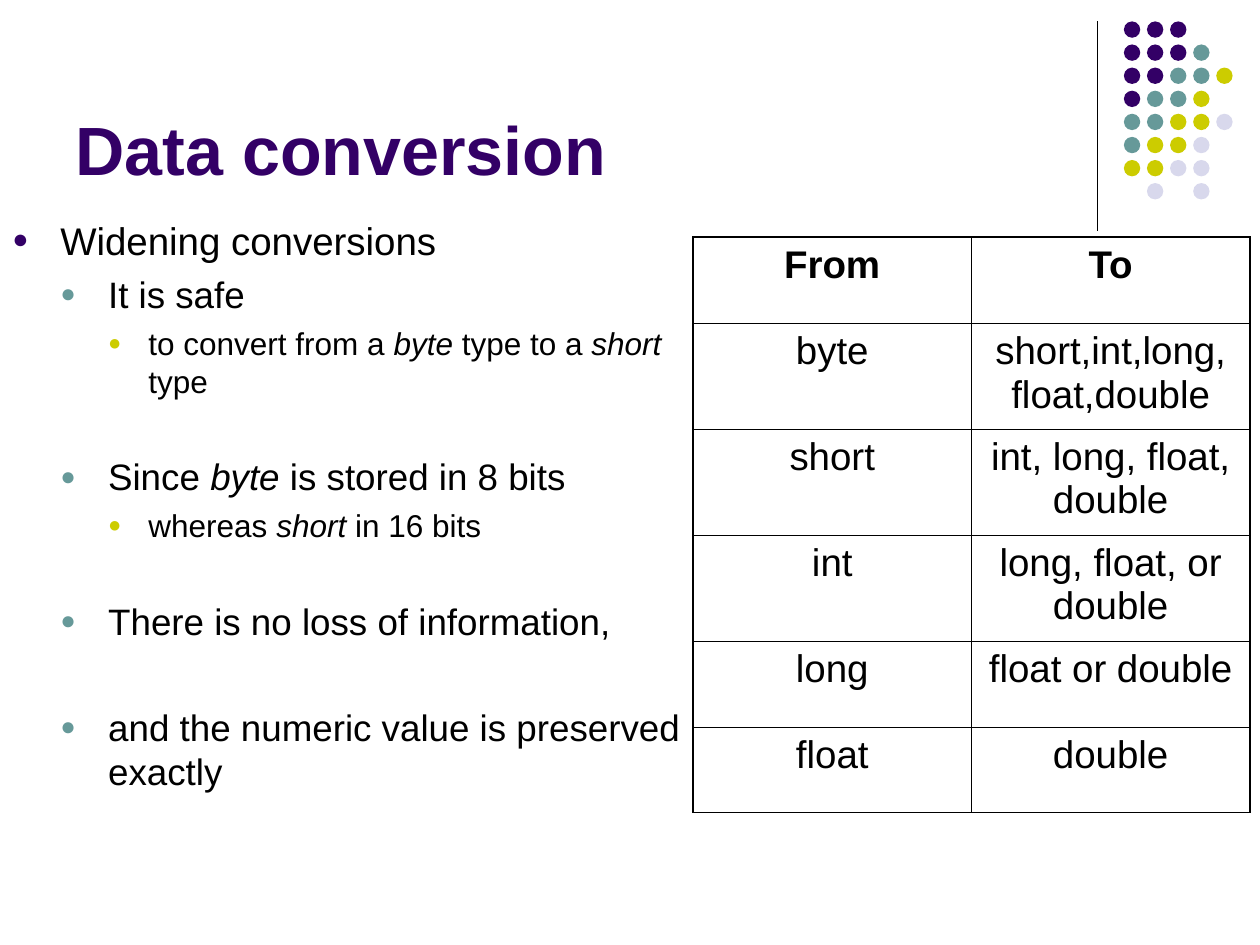
from typing import NamedTuple

from lxml import etree
from pptx import Presentation
from pptx.dml.color import RGBColor
from pptx.enum.shapes import MSO_CONNECTOR, MSO_SHAPE
from pptx.enum.text import MSO_ANCHOR, PP_ALIGN
from pptx.oxml.ns import qn
from pptx.util import Inches, Pt

STRAIGHT = MSO_CONNECTOR.STRAIGHT
OVAL = MSO_SHAPE.OVAL
BOTTOM = MSO_ANCHOR.BOTTOM
TOP = MSO_ANCHOR.TOP
CENTER = PP_ALIGN.CENTER
LEFT = PP_ALIGN.LEFT

COLORS = {
    "purple": "330066",
    "teal": "669999",
    "olive": "CCCC00",
    "lavender": "D8D8EC",
    "black": "000000",
}
FONT = "Arial"
THIN, THICK = 0.45, 1.08


class Level(NamedTuple):
    size: float
    margin: float
    hanging: float
    space_before: float
    bullet_color: str


class Item(NamedTuple):
    level: int
    text: str
    gap: float = 0


LEVELS = [
    Level(22, 0.38, 0.38, 0, "purple"),
    Level(21, 0.76, 0.38, 5.2, "teal"),
    Level(18, 1.08, 0.32, 4.5, "olive"),
]
ITEMS = [
    Item(0, "Widening conversions"),
    Item(1, "It is safe"),
    Item(2, "to convert from a *byte* type to a *short* type"),
    Item(1, "Since *byte *is stored in 8 bits", gap=26),
    Item(2, "whereas *short* in 16 bits"),
    Item(1, "There is no loss of information,", gap=26),
    Item(1, "and the numeric value is preserved exactly", gap=30.5),
]
CONVERSIONS = [
    ("From", "To"),
    ("byte", "short,int,long, float,double"),
    ("short", "int, long, float, double"),
    ("int", "long, float, or double"),
    ("long", "float or double"),
    ("float", "double"),
]
ROW_HEIGHTS = [0.69, 0.84, 0.84, 0.84, 0.68, 0.68]
DOT_ROWS = ["PPP", "PPPT", "PPTTO", "PTTO", "TTOOL", "TOOL", "OOLL", " L L"]
DOT_COLORS = {"P": "purple", "T": "teal", "O": "olive", "L": "lavender"}


def rgb(name: str) -> RGBColor:
    return RGBColor.from_string(COLORS[name])


def write_text(paragraph, text: str, *, size: float, color: str = "black",
               bold: bool = False, align=LEFT) -> None:
    paragraph.alignment = align
    for index, part in enumerate(text.split("*")):
        if part:
            run = paragraph.add_run()
            run.text = part
            run.font.name = FONT
            run.font.size = Pt(size)
            run.font.bold = bold
            run.font.italic = index % 2 == 1
            run.font.color.rgb = rgb(color)


def add_text_frame(slide, left: float, top: float, width: float, height: float, anchor):
    box = slide.shapes.add_textbox(Inches(left), Inches(top), Inches(width), Inches(height))
    frame = box.text_frame
    frame.word_wrap = True
    frame.vertical_anchor = anchor
    return frame


def add_bullet(paragraph, level: Level) -> None:
    properties = paragraph._p.get_or_add_pPr()
    properties.set("marL", str(Inches(level.margin)))
    properties.set("indent", str(-Inches(level.hanging)))
    bullet_color = etree.SubElement(properties, qn("a:buClr"))
    etree.SubElement(bullet_color, qn("a:srgbClr"), val=COLORS[level.bullet_color])
    etree.SubElement(properties, qn("a:buSzPct"), val="70000")
    etree.SubElement(properties, qn("a:buFont"), typeface=FONT)
    etree.SubElement(properties, qn("a:buChar"), char="●")


def add_list(slide, items: list[Item]) -> None:
    frame = add_text_frame(slide, 0, 1.67, 5.58, 5.42, TOP)
    for index, item in enumerate(items):
        paragraph = frame.add_paragraph() if index else frame.paragraphs[0]
        level = LEVELS[item.level]
        add_bullet(paragraph, level)
        if index:
            paragraph.level = item.level
            paragraph.space_before = Pt(level.space_before + item.gap)
        write_text(paragraph, item.text, size=level.size)


def add_divider(slide) -> None:
    line = slide.shapes.add_connector(
        STRAIGHT, Inches(8.71), Inches(0.17), Inches(8.71), Inches(1.83))
    line.line.color.rgb = rgb("black")
    line.line.width = Pt(0.75)
    etree.SubElement(line._element.spPr, qn("a:effectLst"))


def add_dots(slide) -> None:
    pitch, diameter = Inches(1.65 / 9), Inches(0.13)
    for row, pattern in enumerate(DOT_ROWS):
        for column, key in enumerate(pattern):
            if key in DOT_COLORS:
                dot = slide.shapes.add_shape(
                    OVAL, Inches(8.92) + column * pitch, Inches(0.17) + row * pitch,
                    diameter, diameter)
                dot.shadow.inherit = False
                dot.fill.solid()
                dot.fill.fore_color.rgb = rgb(DOT_COLORS[key])
                dot.line.fill.background()


def set_borders(cell, widths: dict[str, float]) -> None:
    properties = cell._tc.get_or_add_tcPr()
    for side, width in widths.items():
        border = etree.SubElement(properties, qn(f"a:ln{side}"), w=str(Pt(width)))
        fill = etree.SubElement(border, qn("a:solidFill"))
        etree.SubElement(fill, qn("a:srgbClr"), val=COLORS["black"])


def add_conversion_table(slide) -> None:
    row_count, column_count = len(CONVERSIONS), len(CONVERSIONS[0])
    table = slide.shapes.add_table(
        row_count, column_count, Inches(5.5), Inches(1.88),
        Inches(4.42), Inches(sum(ROW_HEIGHTS))).table
    table.first_row = False
    table.horz_banding = False
    for row, texts in enumerate(CONVERSIONS):
        table.rows[row].height = Inches(ROW_HEIGHTS[row])
        for column, text in enumerate(texts):
            cell = table.cell(row, column)
            set_borders(cell, {
                "L": THICK if column == 0 else THIN,
                "R": THICK if column == column_count - 1 else THIN,
                "T": THICK if row == 0 else THIN,
                "B": THICK if row == row_count - 1 else THIN,
            })
            cell.fill.background()
            write_text(cell.text_frame.paragraphs[0], text,
                       size=22, bold=row == 0, align=CENTER)


def main() -> None:
    presentation = Presentation()
    presentation.slide_width = Inches(10)
    presentation.slide_height = Inches(7.5)
    slide = presentation.slides.add_slide(presentation.slide_layouts[6])
    add_divider(slide)
    add_dots(slide)
    title = add_text_frame(slide, 0.5, 0.13, 8.25, 1.42, BOTTOM)
    write_text(title.paragraphs[0], "Data conversion", size=39, color="purple", bold=True)
    add_list(slide, ITEMS)
    add_conversion_table(slide)
    presentation.save("out.pptx")


if __name__ == "__main__":
    main()
